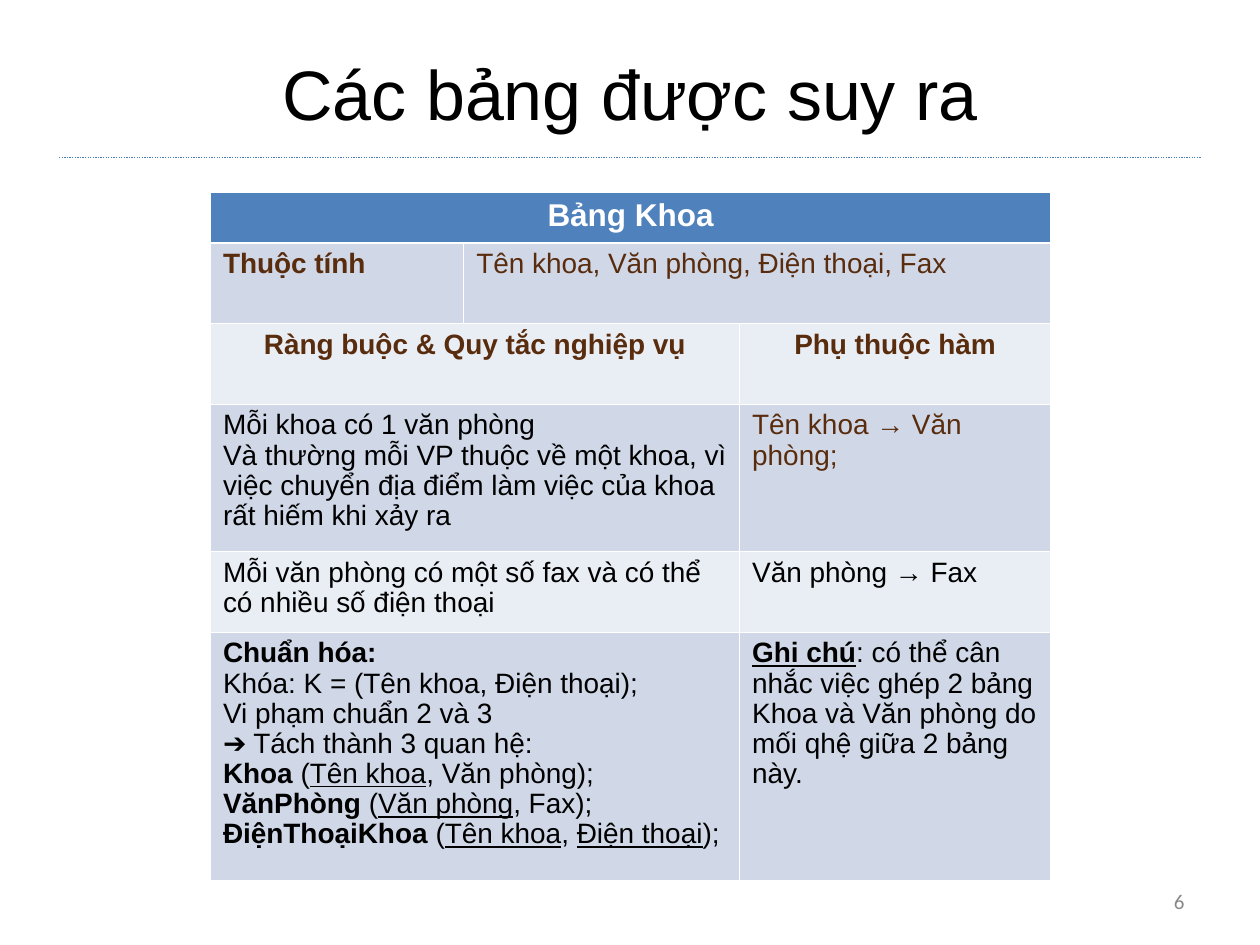
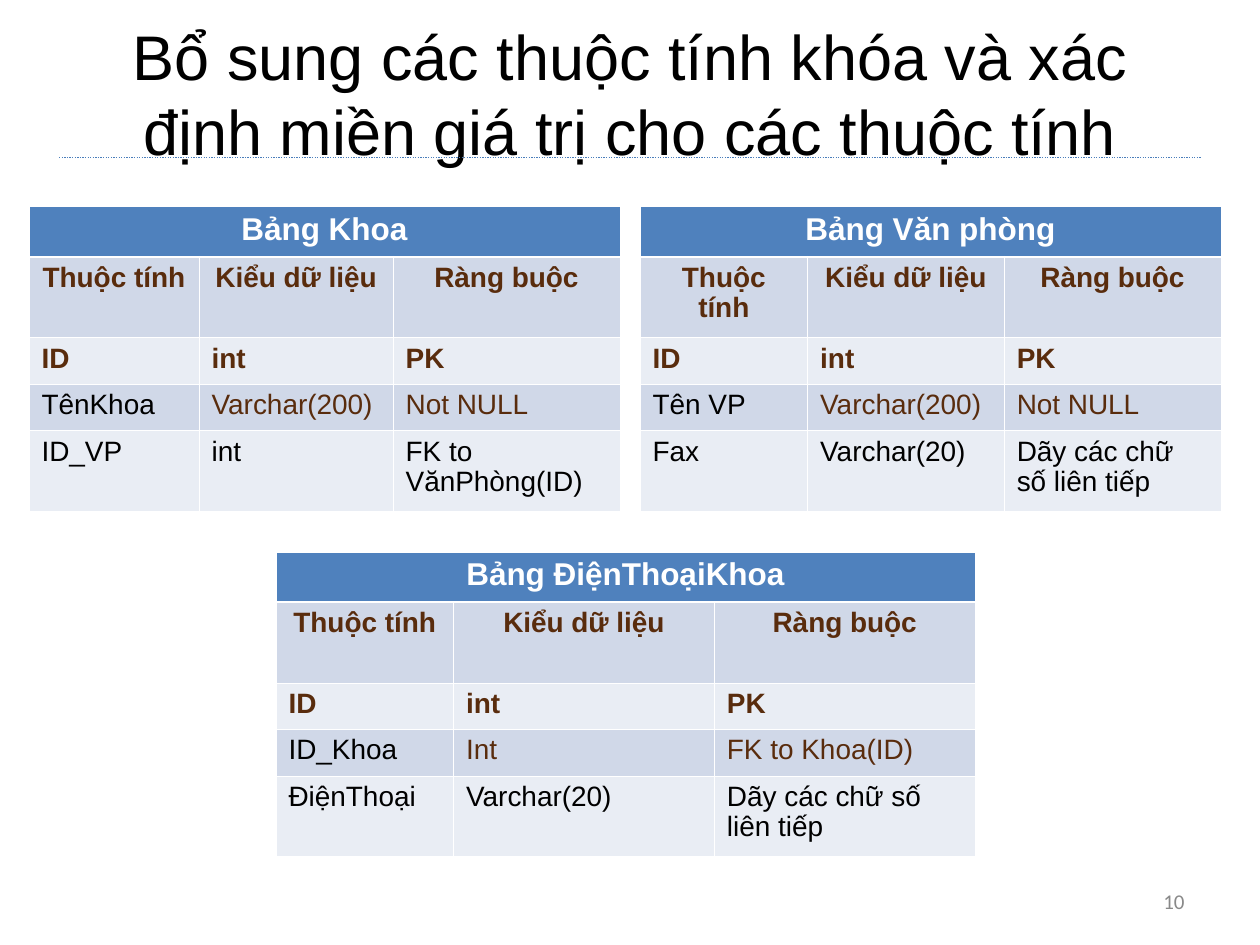
from lxml.etree import SubElement
from pptx import Presentation
from pptx.dml.color import RGBColor
from pptx.enum.dml import MSO_LINE
from pptx.enum.shapes import MSO_CONNECTOR
from pptx.enum.text import MSO_ANCHOR, MSO_AUTO_SIZE, PP_ALIGN
from pptx.oxml.ns import qn
from pptx.util import Inches, Pt

BLACK = RGBColor(0x00, 0x00, 0x00)
WHITE = RGBColor(0xFF, 0xFF, 0xFF)
BROWN = RGBColor(0x59, 0x2C, 0x0D)
GREY = RGBColor(0x89, 0x89, 0x89)
RULE_BLUE = RGBColor(0x4A, 0x7E, 0xBB)
HEADER_BLUE = RGBColor(0x4F, 0x81, 0xBD)
DARK_BAND = RGBColor(0xD0, 0xD8, 0xE8)
LIGHT_BAND = RGBColor(0xE9, 0xED, 0xF4)

THIN, THICK = Pt(0.45), Pt(1.47)
CELL_SPACING = 0.97
BULLET_INDENT = Inches(0.24)
ENTITY_ROW_HEIGHTS = [0.4, 0.64, 0.37, 0.37, 0.64]
HEADINGS = ["Thuộc tính", "Kiểu dữ liệu", "Ràng buộc"]
KEY_ROW = ["ID", "int", "PK"]


def add_text(paragraph, text, size=16, color=BLACK, bold=False, underline=False,
             font="Arial", align=PP_ALIGN.LEFT):
    """Append a formatted run to a paragraph."""
    paragraph.alignment = align
    run = paragraph.add_run()
    run.text = text
    run.font.name = font
    run.font.size = Pt(size)
    run.font.bold = bold
    run.font.underline = underline
    run.font.color.rgb = color


def add_bullet(paragraph, symbol):
    """Give a paragraph a hanging bullet."""
    properties = paragraph._p.get_or_add_pPr()
    properties.set("marL", str(BULLET_INDENT))
    properties.set("indent", str(-BULLET_INDENT))
    SubElement(properties, qn("a:buFont"), typeface="Arial")
    SubElement(properties, qn("a:buChar"), char=symbol)


def fill_cell(cell, *lines, bullets=None, **style):
    """Write lines, each a string or a list of (text, format) parts, in a cell."""
    frame = cell.text_frame
    for index, line in enumerate(lines):
        paragraph = frame.paragraphs[0] if index == 0 else frame.add_paragraph()
        paragraph.line_spacing = CELL_SPACING
        if bullets and index in bullets:
            add_bullet(paragraph, bullets[index])
        parts = [(line, {})] if isinstance(line, str) else line
        for text, extra in parts:
            add_text(paragraph, text, **{**style, **extra})


def add_borders(cell, top=THIN, bottom=THIN):
    """Draw white borders around a cell."""
    properties = cell._tc.get_or_add_tcPr()
    for side, width in (("L", THIN), ("R", THIN), ("T", top), ("B", bottom)):
        border = SubElement(properties, qn(f"a:ln{side}"), w=str(width))
        solid = SubElement(border, qn("a:solidFill"))
        SubElement(solid, qn("a:srgbClr"), val=str(WHITE))


def add_banded_table(slide, left, top, widths, heights, title):
    """Add a banded table with a merged title row."""
    table = slide.shapes.add_table(
        len(heights), len(widths), Inches(left), Inches(top),
        Inches(sum(widths)), Inches(sum(heights))).table
    table.first_row = table.horz_banding = False
    for column, width in zip(table.columns, widths):
        column.width = Inches(width)
    for index, (row, height) in enumerate(zip(table.rows, heights)):
        row.height = Inches(height)
        band = DARK_BAND if index % 2 else LIGHT_BAND
        for cell in row.cells:
            add_borders(cell, top=THICK if index == 1 else THIN,
                        bottom=THICK if index == 0 else THIN)
            cell.fill.solid()
            cell.fill.fore_color.rgb = band if index else HEADER_BLUE
    table.cell(0, 0).merge(table.cell(0, len(widths) - 1))
    fill_cell(table.cell(0, 0), title, size=18, color=WHITE, bold=True,
              align=PP_ALIGN.CENTER)
    return table


def add_entity_table(slide, left, top, widths, title, name_row, detail_row):
    """Add a table that defines the columns of one entity."""
    table = add_banded_table(slide, left, top, widths, ENTITY_ROW_HEIGHTS, title)
    for column in range(len(HEADINGS)):
        fill_cell(table.cell(1, column), HEADINGS[column], color=BROWN, bold=True,
                  align=PP_ALIGN.CENTER)
        fill_cell(table.cell(2, column), KEY_ROW[column], color=BROWN, bold=True)
        fill_cell(table.cell(3, column), name_row[column],
                  color=BROWN if column else BLACK)
        fill_cell(table.cell(4, column), detail_row[column])


def add_frame(presentation, title, title_size, number):
    """Add a slide with its title, dotted rule and slide number."""
    slide = presentation.slides.add_slide(presentation.slide_layouts[5])
    rule = slide.shapes.add_connector(
        MSO_CONNECTOR.STRAIGHT, Inches(0.47), Inches(1.25), Inches(9.53), Inches(1.25))
    rule.line.color.rgb = RULE_BLUE
    rule.line.width = Pt(0.75)
    rule.line.dash_style = MSO_LINE.ROUND_DOT
    SubElement(rule._element.spPr, qn("a:effectLst"))

    heading = slide.shapes.title
    heading.left, heading.top = Inches(0.5), Inches(0.3)
    heading.width, heading.height = Inches(9), Inches(0.87)
    heading.text_frame.auto_size = MSO_AUTO_SIZE.NONE
    heading.text_frame.vertical_anchor = MSO_ANCHOR.MIDDLE
    add_text(heading.text_frame.paragraphs[0], title, size=title_size,
             align=PP_ALIGN.CENTER)

    footer = slide.shapes.add_textbox(
        Inches(7.17), Inches(6.95), Inches(2.33), Inches(0.4)).text_frame
    footer.word_wrap = True
    footer.vertical_anchor = MSO_ANCHOR.MIDDLE
    add_text(footer.paragraphs[0], str(number), size=12, color=GREY,
             font="Calibri", align=PP_ALIGN.RIGHT)
    return slide


def build_derived_slide(presentation):
    """Build the slide that analyses the faculty table."""
    slide = add_frame(presentation, "Các bảng được suy ra", 40, 6)
    table = add_banded_table(slide, 1.67, 1.53, [2.01, 2.19, 2.47],
                             [0.4, 0.64, 0.64, 1.17, 0.64, 1.97], "Bảng Khoa")
    table.cell(1, 1).merge(table.cell(1, 2))
    for row in range(2, 6):
        table.cell(row, 0).merge(table.cell(row, 1))
    bold, underlined = {"bold": True}, {"underline": True}

    fill_cell(table.cell(1, 0), "Thuộc tính", color=BROWN, bold=True)
    fill_cell(table.cell(1, 1), "Tên khoa, Văn phòng, Điện thoại, Fax", color=BROWN)
    for column, heading in ((0, "Ràng buộc & Quy tắc nghiệp vụ"), (2, "Phụ thuộc hàm")):
        fill_cell(table.cell(2, column), heading, color=BROWN, bold=True,
                  align=PP_ALIGN.CENTER)
    fill_cell(table.cell(3, 0), "Mỗi khoa có 1 văn phòng",
              "Và thường mỗi VP thuộc về một khoa, vì việc chuyển địa điểm "
              "làm việc của khoa rất hiếm khi xảy ra")
    fill_cell(table.cell(3, 2), "Tên khoa → Văn phòng;", color=BROWN)
    fill_cell(table.cell(4, 0),
              "Mỗi văn phòng có một số fax và có thể có nhiều số điện thoại")
    fill_cell(table.cell(4, 2), "Văn phòng → Fax")
    fill_cell(
        table.cell(5, 0),
        [("Chuẩn hóa:", bold)],
        "Khóa: K = (Tên khoa, Điện thoại);",
        "Vi phạm chuẩn 2 và 3",
        "Tách thành 3 quan hệ:",
        [("Khoa ", bold), ("(", {}), ("Tên khoa", underlined), (", Văn phòng);", {})],
        [("VănPhòng ", bold), ("(", {}), ("Văn phòng", underlined), (", Fax);", {})],
        [("ĐiệnThoạiKhoa ", bold), ("(", {}), ("Tên khoa", underlined), (", ", {}),
         ("Điện thoại", underlined), (");", {})],
        bullets={3: "➔"})
    fill_cell(table.cell(5, 2), [
        ("Ghi chú", {**bold, **underlined}),
        (": có thể cân nhắc việc ghép 2 bảng Khoa và Văn phòng do mối qhệ "
         "giữa 2 bảng này.", {})])


def build_domain_slide(presentation):
    """Build the slide with the keys and domains of three entities."""
    slide = add_frame(
        presentation,
        "Bổ sung các thuộc tính khóa và xác định miền giá trị cho các thuộc tính", 36, 10)
    add_entity_table(slide, 0.23, 1.64, [1.35, 1.54, 1.8], "Bảng Khoa",
                     ["TênKhoa", "Varchar(200)", "Not NULL"],
                     ["ID_VP", "int", "FK to VănPhòng(ID)"])
    add_entity_table(slide, 5.08, 1.64, [1.33, 1.56, 1.72], "Bảng Văn phòng",
                     ["Tên VP", "Varchar(200)", "Not NULL"],
                     ["Fax", "Varchar(20)", "Dãy các chữ số liên tiếp"])
    add_entity_table(slide, 2.19, 4.38, [1.41, 2.07, 2.07], "Bảng ĐiệnThoạiKhoa",
                     ["ID_Khoa", "Int", "FK to Khoa(ID)"],
                     ["ĐiệnThoại", "Varchar(20)", "Dãy các chữ số liên tiếp"])


def main():
    """Build and save the presentation."""
    presentation = Presentation()
    presentation.slide_width, presentation.slide_height = Inches(10), Inches(7.5)
    build_derived_slide(presentation)
    build_domain_slide(presentation)
    presentation.save("out.pptx")


if __name__ == "__main__":
    main()
